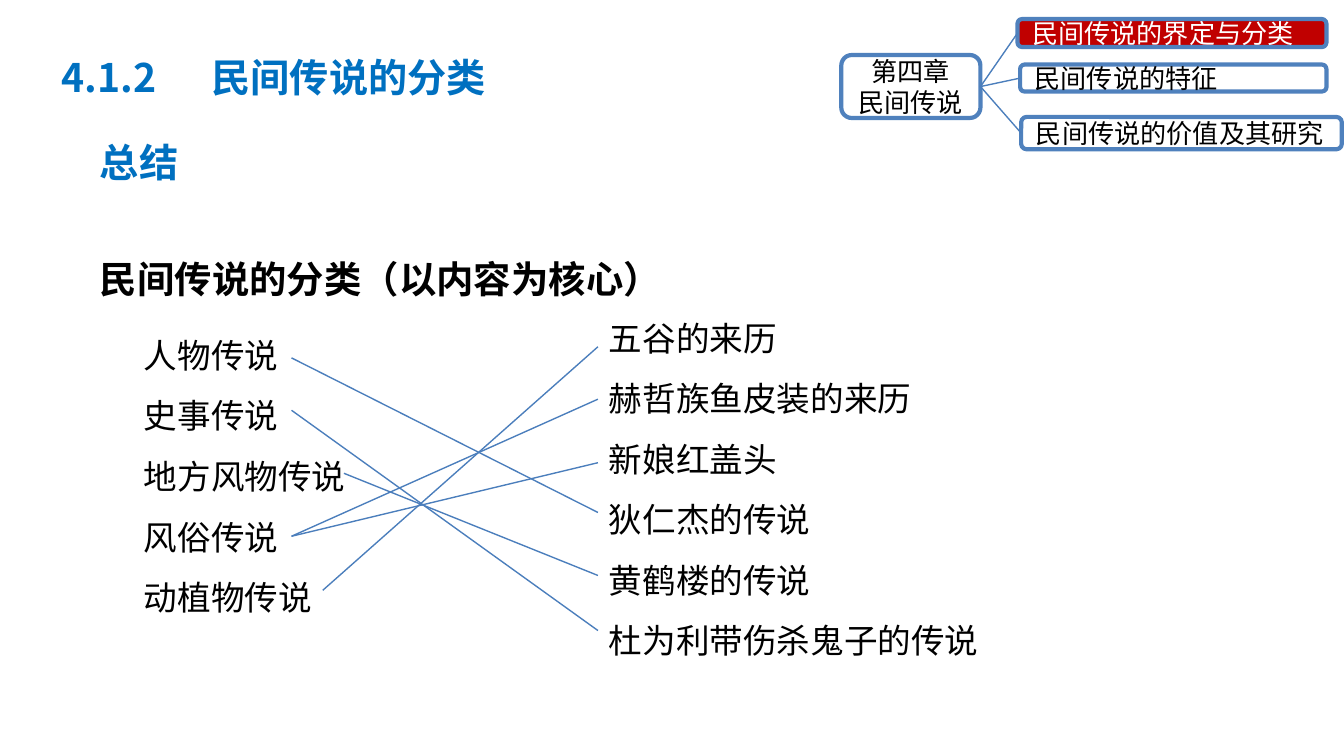
from dataclasses import dataclass

from lxml.etree import SubElement
from pptx import Presentation
from pptx.dml.color import RGBColor
from pptx.enum.shapes import MSO_CONNECTOR, MSO_SHAPE
from pptx.enum.text import MSO_ANCHOR, MSO_AUTO_SIZE, PP_ALIGN
from pptx.oxml.ns import qn
from pptx.util import Cm, Pt


@dataclass(frozen=True)
class Theme:
    font: str = "Noto Sans CJK SC"
    heading: RGBColor = RGBColor(0x00, 0x70, 0xC0)
    ink: RGBColor = RGBColor(0x00, 0x00, 0x00)
    paper: RGBColor = RGBColor(0xFF, 0xFF, 0xFF)
    current: RGBColor = RGBColor(0xC0, 0x00, 0x00)
    border: RGBColor = RGBColor(0x4F, 0x81, 0xBD)
    link: RGBColor = RGBColor(0x4B, 0x7E, 0xBC)
    heading_size: int = 21
    subheading_size: int = 20
    list_size: int = 18
    map_size: int = 14


@dataclass(frozen=True)
class Box:
    """A rectangle in centimetres."""
    left: float
    top: float
    width: float
    height: float

    def inner(self, left, top, width, height):
        return Box(self.left + left, self.top + top, width, height)

    def lengths(self):
        return Cm(self.left), Cm(self.top), Cm(self.width), Cm(self.height)


THEME = Theme()
FIRST_LINE_INDENT = Cm(0.97)

BRANCHES = [
    ("民间传说的界定与分类", (3.33, 0, 5.84, 0.53), True),
    ("民间传说的特征", (3.38, 0.86, 5.79, 0.51), False),
    ("民间传说的价值及其研究", (3.4, 1.85, 6.06, 0.61), False),
]

# Each kind of legend, with the point its lines leave from.
KINDS = {
    "人物传说": (4.01, 1.27),
    "史事传说": (4.01, 2.26),
    "地方风物传说": (5, 3.45),
    "风俗传说": (4.01, 4.64),
    "动植物传说": (4.6, 5.66),
}

# Each example, with its kind and the height its line arrives at.
EXAMPLES = {
    "五谷的来历": ("动植物传说", 1.06),
    "赫哲族鱼皮装的来历": ("风俗传说", 2.05),
    "新娘红盖头": ("风俗传说", 3.25),
    "狄仁杰的传说": ("人物传说", 4.19),
    "黄鹤楼的传说": ("地方风物传说", 5.38),
    "杜为利带伤杀鬼子的传说": ("史事传说", 6.42),
}
EXAMPLE_LINE_END = 9.8


def write_paragraphs(frame, lines, size, color, bold=None, spacing=None, indent=None, tab=None):
    """Fill the frame's first paragraph if it is empty, then add the rest."""
    for line in lines:
        para = frame.add_paragraph() if frame.text else frame.paragraphs[0]
        para.text = line
        if spacing:
            para.line_spacing = spacing
        properties = para._p.get_or_add_pPr()
        if indent:
            properties.set("marL", "0")
            properties.set("indent", str(indent))
        if tab:
            stops = SubElement(properties, qn("a:tabLst"))
            SubElement(stops, qn("a:tab"), pos=str(tab), algn="l")
        para.font.name = THEME.font
        para.font.size = Pt(size)
        para.font.bold = bold
        para.font.color.rgb = color
        SubElement(properties.find(qn("a:defRPr")), qn("a:ea"), typeface=THEME.font)
    return frame.paragraphs


def add_text_frame(page, box, compact=False):
    frame = page.shapes.add_textbox(*box.lengths()).text_frame
    frame.word_wrap = True
    frame.auto_size = MSO_AUTO_SIZE.SHAPE_TO_FIT_TEXT
    if compact:
        frame.margin_left = frame.margin_right = Cm(0.19)
        frame.margin_top = frame.margin_bottom = Cm(0.1)
    return frame


def add_line(shapes, start, end):
    line = shapes.add_connector(MSO_CONNECTOR.STRAIGHT, *start, *end)
    line.line.color.rgb = THEME.link
    line.line.width = Pt(0.75)
    SubElement(line._element.spPr, qn("a:effectLst"))
    return line


def add_node(shapes, box, lines, current=False):
    node = shapes.add_shape(MSO_SHAPE.ROUNDED_RECTANGLE, *box.lengths())
    node.shadow.inherit = False
    node.line.color.rgb = THEME.border
    node.line.width = Pt(2.25)
    if current:
        node.fill.solid()
        node.fill.fore_color.rgb = THEME.current
    else:
        node.fill.background()
    frame = node.text_frame
    frame.word_wrap = True
    frame.vertical_anchor = MSO_ANCHOR.MIDDLE
    color = THEME.paper if current else THEME.ink
    for para in write_paragraphs(frame, lines, THEME.map_size, color):
        para.alignment = PP_ALIGN.CENTER if len(lines) > 1 else PP_ALIGN.LEFT
    return node


def draw_title(page, box):
    write_paragraphs(add_text_frame(page, box, compact=True), ["4.1.2\t民间传说的分类"],
                     THEME.heading_size, THEME.heading, bold=True, spacing=1.5,
                     indent=FIRST_LINE_INDENT, tab=Cm(3.1))


def draw_chapter_map(page, box):
    shapes = page.shapes.add_group_shape().shapes
    root = add_node(shapes, box.inner(0, 0.68, 2.63, 1.19), ["第四章", "民间传说"])
    nodes = [add_node(shapes, box.inner(*place), [label], current)
             for label, place, current in BRANCHES]
    for node in nodes:
        line = add_line(shapes, (root.left + root.width, root.top + root.height // 2),
                        (node.left, node.top + node.height // 2))
        line.begin_connect(root, 3)
        line.end_connect(node, 1)


def draw_summary(page, box):
    frame = add_text_frame(page, box, compact=True)
    write_paragraphs(frame, ["总结"], THEME.heading_size, THEME.heading, bold=True)
    paragraphs = write_paragraphs(frame, ["民间传说的分类（以内容为核心）"],
                                  THEME.subheading_size, THEME.ink, bold=True, spacing=1.5)
    paragraphs[-1].space_before = Pt(26)


def draw_matching(page, box):
    """Set kinds on the left, examples on the right, and join the pairs."""
    columns = [(KINDS, (0, 0.33, 6.2, 5.89)), (EXAMPLES, (8.79, 0, 8.61, 7.04))]
    for labels, place in columns:
        write_paragraphs(add_text_frame(page, box.inner(*place)), labels, THEME.list_size,
                         THEME.ink, spacing=1.5, indent=FIRST_LINE_INDENT)
    for kind, height in EXAMPLES.values():
        start, end = KINDS[kind], (EXAMPLE_LINE_END, height)
        add_line(page.shapes, *((Cm(box.left + x), Cm(box.top + y)) for x, y in (start, end)))


def main():
    deck = Presentation()
    deck.slide_width, deck.slide_height = Cm(25.4), Cm(14.28)
    page = deck.slides.add_slide(deck.slide_layouts[6])
    draw_title(page, Box(0, 0.46, 9.73, 1.55))
    draw_chapter_map(page, Box(15.9, 0.36, 9.46, 2.46))
    draw_summary(page, Box(1.7, 2.51, 22.71, 3))
    draw_matching(page, Box(1.5, 5.49, 17.4, 7.04))
    deck.save("out.pptx")


if __name__ == "__main__":
    main()
